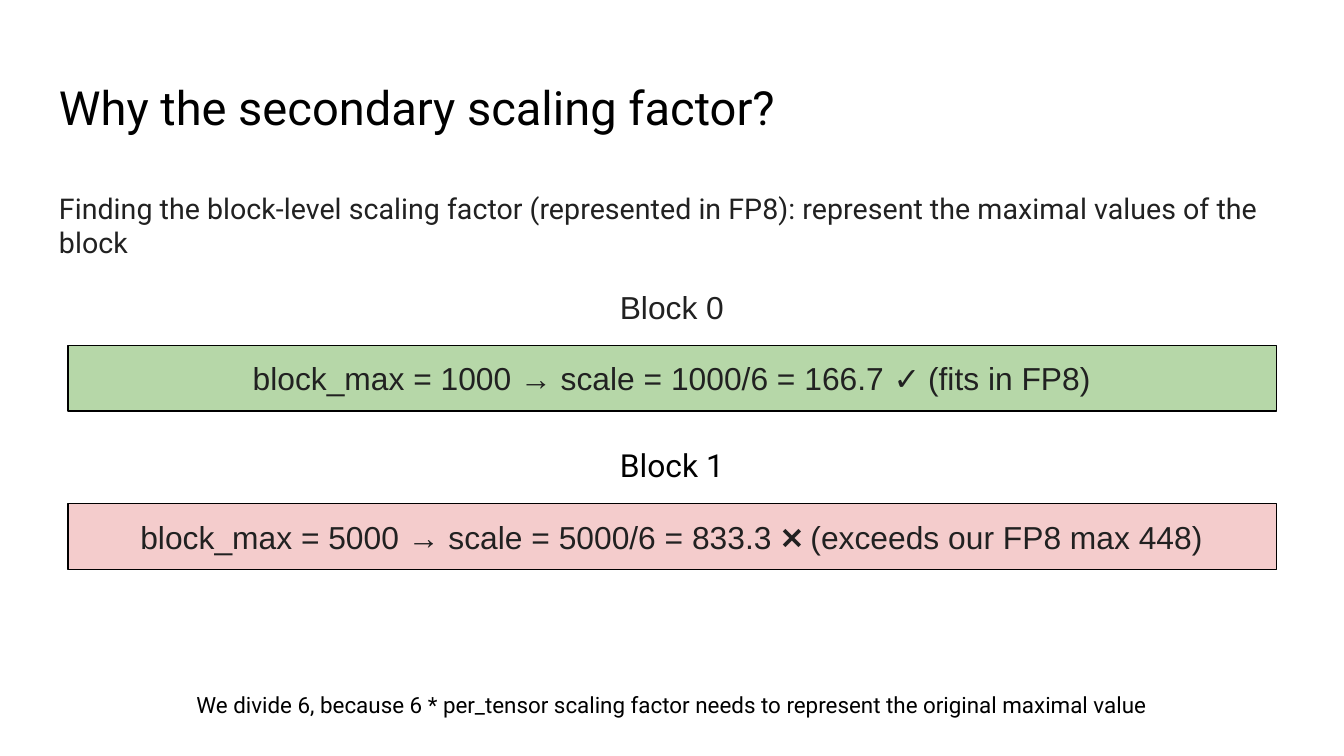
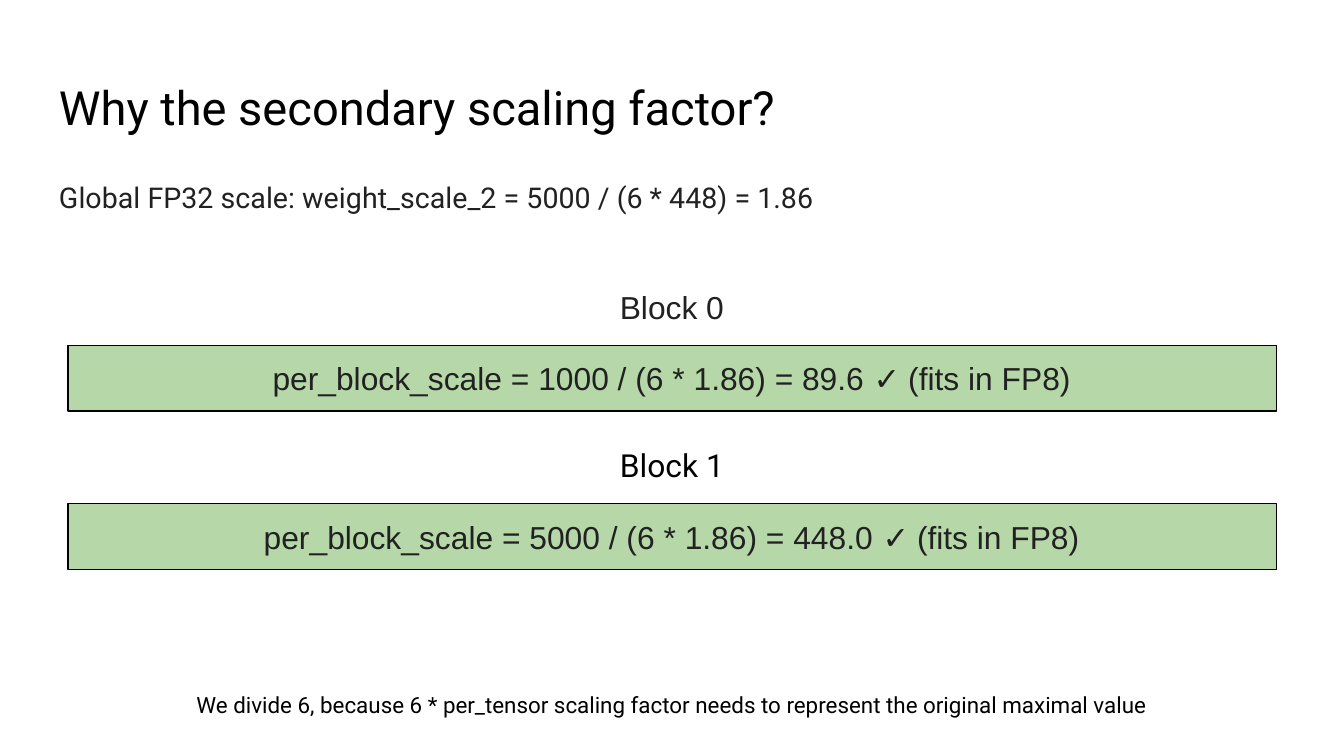
"""Build two slides on why block scaling needs a secondary factor."""
from pptx import Presentation
from pptx import util as u
from pptx.dml.color import RGBColor
from pptx.enum import shapes, text

BLACK = RGBColor(0x00, 0x00, 0x00)
INK = RGBColor(0x21, 0x21, 0x21)
WHITE = RGBColor(0xFF, 0xFF, 0xFF)
GREEN = RGBColor(0xB6, 0xD7, 0xA8)
RED = RGBColor(0xF4, 0xCC, 0xCC)

WIDTH = u.Inches(10)
HEIGHT = WIDTH * 9 // 16
LEFT, SPAN, LINE_BOX = 3.41, 93.18, 11.2
BLOCK_TOP, BLOCK_STEP, BAR_DROP = 36.27, 20.95, 9.42
TITLE = "Why the secondary scaling factor?"
FOOTER = ("We divide 6, because 6 * per_tensor scaling factor needs to "
          "represent the original maximal value")
LABEL_STYLES = [("Arial", INK), ("Roboto", BLACK)]


def place(left, top, width, height):
    """Turn percentages of the slide into lengths."""
    return (round(WIDTH * left / 100), round(HEIGHT * top / 100),
            round(WIDTH * width / 100), round(HEIGHT * height / 100))


def write(box, words, size, font, color, align, anchor):
    """Fill a shape with one styled paragraph."""
    frame = box.text_frame
    frame.word_wrap = True
    frame.vertical_anchor = anchor
    frame.margin_left = frame.margin_right = u.Inches(0.1)
    frame.margin_top = frame.margin_bottom = u.Inches(0.1)
    para = frame.paragraphs[0]
    para.text = words
    para.alignment = align
    para.font.size = u.Pt(size)
    para.font.name = font
    para.font.color.rgb = color


def add_text(page, words, top, size, font="Roboto", color=BLACK,
             align=text.PP_ALIGN.LEFT, left=LEFT, width=SPAN, height=LINE_BOX):
    """Add a line of text hung from the top of its box."""
    box = page.shapes.add_textbox(*place(left, top, width, height))
    write(box, words, size, font, color, align, text.MSO_ANCHOR.TOP)


def add_bar(page, words, top, fill):
    """Add an outlined bar holding a centred formula."""
    bar = page.shapes.add_shape(shapes.MSO_SHAPE.RECTANGLE,
                                *place(5.06, top, 89.9, 8.71))
    bar.shadow.inherit = False
    bar.fill.solid()
    bar.fill.fore_color.rgb = fill
    bar.line.color.rgb = BLACK
    bar.line.width = u.Pt(0.75)
    write(bar, words, 17, "Arial", INK, text.PP_ALIGN.CENTER,
          text.MSO_ANCHOR.MIDDLE)


def add_page(deck, intro, intro_top, blocks):
    """Add a slide with title, intro, labelled blocks and footer."""
    page = deck.slides.add_slide(deck.slide_layouts[6])
    page.background.fill.solid()
    page.background.fill.fore_color.rgb = WHITE
    add_text(page, TITLE, 8.65, 25.2)
    add_text(page, FOOTER, 89.68, 12, align=text.PP_ALIGN.CENTER,
             left=1.7, width=96.6, height=7.47)
    for index, (formula, fill) in enumerate(blocks):
        top = BLOCK_TOP + index * BLOCK_STEP
        font, color = LABEL_STYLES[index]
        add_bar(page, formula, top + BAR_DROP, fill)
        add_text(page, f"Block {index}", top, 17, font, color,
                 text.PP_ALIGN.CENTER)
    add_text(page, intro, intro_top, 15.3, color=INK)


def main():
    """Build and save the deck."""
    deck = Presentation()
    deck.slide_width, deck.slide_height = WIDTH, HEIGHT
    add_page(deck, "Finding the block-level scaling factor (represented in "
             "FP8): represent the maximal values of the block", 23.47, [
                 ("block_max = 1000 → scale = 1000/6 = 166.7 ✓ (fits in FP8)",
                  GREEN),
                 ("block_max = 5000 → scale = 5000/6 = 833.3 ❌ "
                  "(exceeds our FP8 max 448)", RED)])
    add_page(deck, "Global FP32 scale: weight_scale_2 = 5000 / (6 * 448) "
             "= 1.86", 22.04, [
                 ("per_block_scale = 1000 / (6 * 1.86) = 89.6 ✓ (fits in FP8)",
                  GREEN),
                 ("per_block_scale = 5000 / (6 * 1.86) = 448.0 ✓ (fits in FP8)",
                  GREEN)])
    deck.save("out.pptx")


if __name__ == "__main__":
    main()
